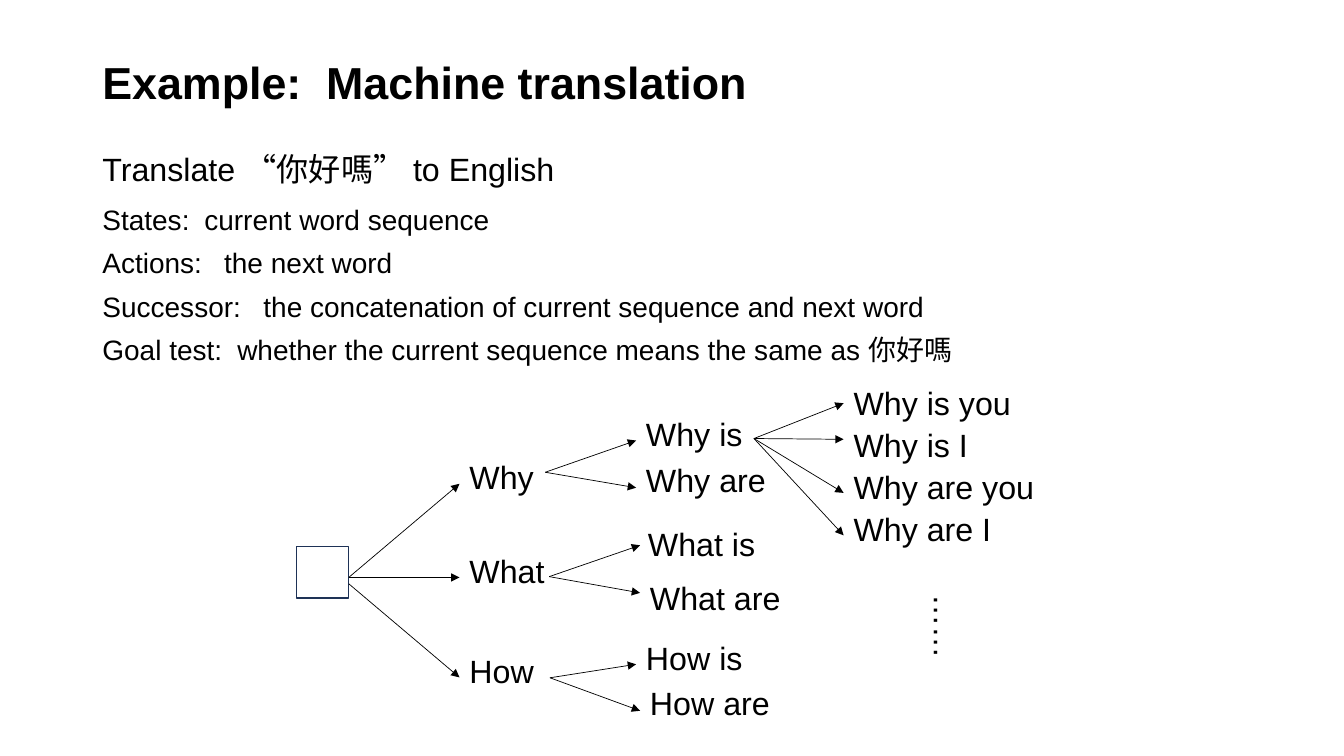
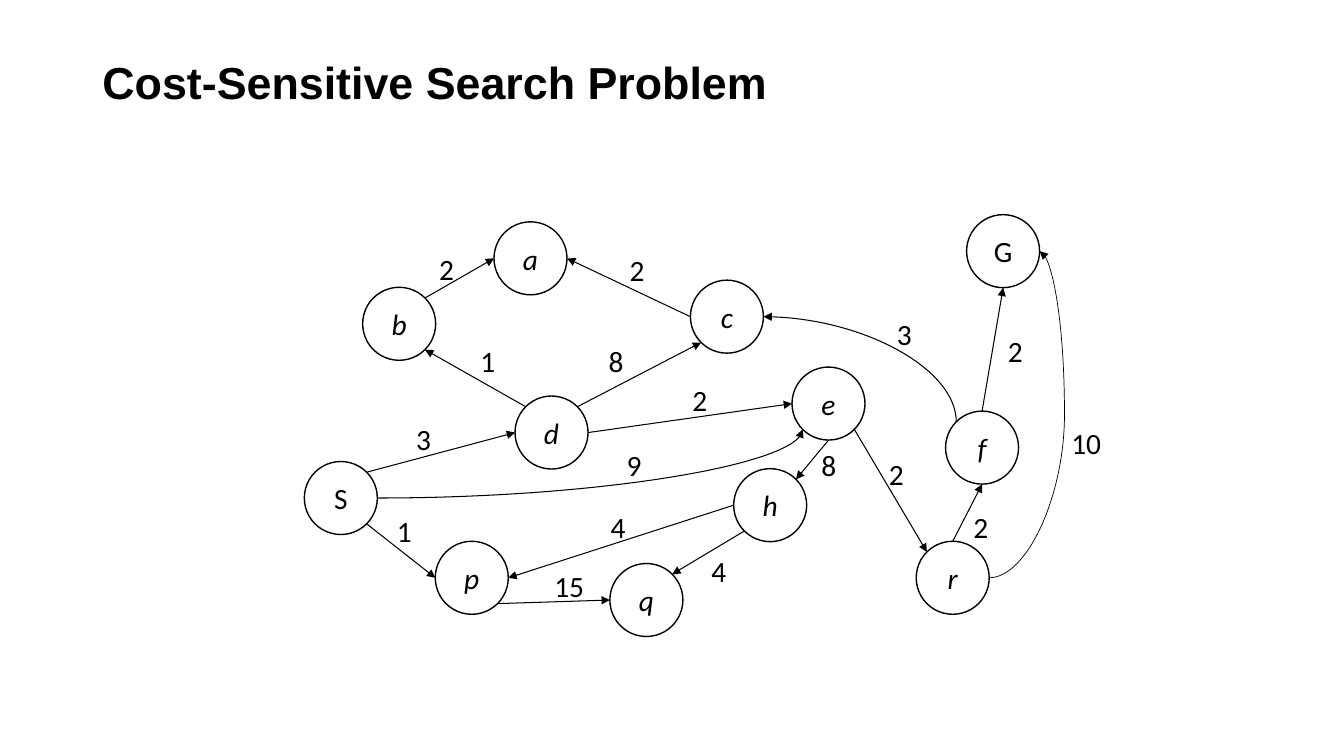
"""Builds two slides on search problems: a translation tree and a weighted graph."""
from math import cos, radians, sin

from pptx import Presentation
from pptx.dml.color import RGBColor
from pptx.enum.shapes import MSO_CONNECTOR, MSO_SHAPE
from pptx.enum.text import MSO_ANCHOR, PP_ALIGN
from pptx.oxml.ns import qn
from pptx.util import Cm, Pt
from lxml import etree

STRAIGHT, CURVE = MSO_CONNECTOR.STRAIGHT, MSO_CONNECTOR.CURVE
SQUARE, CIRCLE = MSO_SHAPE.RECTANGLE, MSO_SHAPE.FLOWCHART_CONNECTOR
MIDDLE, CENTER = MSO_ANCHOR.MIDDLE, PP_ALIGN.CENTER

COLORS = {"text": "000000", "line": "000000", "root": "1E3256"}
SANS, GRAPH_FONT = "Arial", "Calibri"

TREE_TITLE, TREE_TITLE_TAB = "Example:\tMachine translation", 5.64
TASK = "Translate “你好嗎” to English"
DEFINITIONS = [
    ("States:\tcurrent word sequence", 2.57),
    ("Actions:\tthe next word", 3.07),
    ("Successor:\tthe concatenation of current sequence and next word", 4.06),
    ("Goal test:\twhether the current sequence means the same as 你好嗎", 3.4),
]
ROOT = (7.47, 13.77, 1.32, 1.3)
WORDS = [
    ("Why", 11.58, 11.4), ("What", 11.58, 13.77), ("How", 11.58, 16.28),
    ("Why is", 16.03, 10.31), ("Why are", 16.03, 11.48),
    ("What is", 16.08, 13.08), ("What are", 16.13, 14.45),
    ("How is", 16.03, 15.95), ("How are", 16.13, 17.09),
]
LEAVES = ["Why is you", "Why is I", "Why are you", "Why are I"]
LEAF_LEFT, LEAF_TOP, LEAF_STEP = 21.26, 9.53, 1.06
WORD_WIDTH, WORD_HEIGHT = 5.41, 1.57
ELLIPSIS = ("……", 20.98, 16.64)
FANS = [
    ((8.79, 14.55), [(11.58, 12.19), (11.58, 14.55)]),
    ((8.79, 14.71), [(11.58, 17.07)]),
    ((13.74, 11.9), [(16.03, 11.1), (16.03, 12.29)]),
    ((13.84, 14.53), [(16.13, 13.74), (16.13, 14.94)]),
    ((13.86, 17.08), [(16.03, 16.74), (16.13, 17.91)]),
    ((19, 11.05), [(21.26, 10.16), (21.26, 11.07), (21.26, 12.42), (21.26, 13.49)]),
]

GRAPH_TITLE = "Cost-Sensitive Search Problem"
NODE_SIZE = 1.84
NODES = {
    "S": (7.67, 11.63), "G": (24.36, 5.41), "d": (12.98, 9.98), "b": (9.14, 7.24),
    "p": (10.97, 13.64), "q": (15.37, 14.2), "c": (17.4, 7.06), "e": (19.96, 9.25),
    "h": (18.49, 11.81), "a": (12.45, 5.59), "f": (23.83, 10.36), "r": (23.09, 13.64),
}
ANGLES = {name: 45 * step for step, name in
          enumerate(["E", "SE", "S", "SW", "W", "NW", "N", "NE"])}
EDGES = [
    ("S", "SE", "p", "W"), ("p", "SE", "q", "W"), ("h", "SW", "q", "NE"),
    ("h", "W", "p", "E"), ("e", "S", "h", "NE"), ("e", "SE", "r", "NW"),
    ("r", "N", "f", "S"), ("f", "N", "G", "S"), ("S", "NE", "d", "W"),
    ("d", "NW", "b", "SE"), ("b", "NE", "a", "W"), ("c", "W", "a", "E"),
    ("d", "NE", "c", "SW"), ("d", "E", "e", "W"),
]
COSTS = [
    ("2", 10.82, 6.2), ("9", 15.54, 11.15), ("2", 22.15, 11.38), ("8", 15.09, 8.51),
    ("1", 11.86, 8.53), ("8", 20.45, 11.15), ("2", 15.62, 6.22), ("3", 10.24, 10.49),
    ("2", 24.28, 12.7), ("4", 17.68, 13.82), ("4", 15.14, 12.7), ("15", 13.72, 14.2),
    ("1", 9.75, 12.8), ("3", 22.35, 7.85), ("2", 25.15, 8.28), ("2", 17.2, 9.5),
    ("10", 26.75, 10.59),
]


def color(name):
    return RGBColor.from_string(COLORS[name])


def write(paragraph, text, size, font=SANS, bold=False, italic=False, tab=None):
    paragraph.text = text
    if tab:
        tabs = etree.SubElement(paragraph._p.get_or_add_pPr(), qn("a:tabLst"))
        etree.SubElement(tabs, qn("a:tab"), pos=str(Cm(tab)), algn="l")
    paragraph.font.name = font
    paragraph.font.size = Pt(size)
    paragraph.font.bold = bold
    paragraph.font.italic = italic
    paragraph.font.color.rgb = color("text")


def add_text(slide, text, left, top, width, height, size, **style):
    box = slide.shapes.add_textbox(Cm(left), Cm(top), Cm(width), Cm(height))
    box.text_frame.word_wrap = True
    write(box.text_frame.paragraphs[0], text, size, **style)
    return box


def add_slide(presentation, title, tab=None):
    slide = presentation.slides.add_slide(presentation.slide_layouts[6])
    box = add_text(slide, title, 2.33, 1.01, 29.21, 2.26, 32, bold=True, tab=tab)
    box.text_frame.vertical_anchor = MIDDLE
    box.text_frame.paragraphs[0].line_spacing = 0.9
    return slide


def add_outline(slide, kind, left, top, width, height, line):
    shape = slide.shapes.add_shape(kind, Cm(left), Cm(top), Cm(width), Cm(height))
    shape.shadow.inherit = False
    shape.fill.background()
    shape.line.color.rgb = color(line)
    shape.line.width = Pt(1)
    return shape


def add_arrow(slide, start, end, width, kind=STRAIGHT, head="a:tailEnd"):
    arrow = slide.shapes.add_connector(kind, *(Cm(value) for value in (*start, *end)))
    arrow.line.color.rgb = color("line")
    arrow.line.width = Pt(width)
    etree.SubElement(arrow.line._get_or_add_ln(), qn(head), type="triangle")
    etree.SubElement(arrow._element.spPr, qn("a:effectLst"))
    return arrow


def shape_curve(arrow, preset, bend=None):
    geometry = arrow._element.spPr.find(qn("a:prstGeom"))
    geometry.set("prst", preset)
    if bend:
        guides = geometry.find(qn("a:avLst"))
        etree.SubElement(guides, qn("a:gd"), name="adj1", fmla=f"val {bend}")


def site(node, side):
    left, top = NODES[node]
    radius, angle = NODE_SIZE / 2, radians(ANGLES[side])
    return left + radius * (1 + cos(angle)), top + radius * (1 + sin(angle))


def build_tree(presentation):
    slide = add_slide(presentation, TREE_TITLE, TREE_TITLE_TAB)
    add_text(slide, TASK, 2.33, 3.63, 14, WORD_HEIGHT, 23)
    (first, first_tab), *others = DEFINITIONS
    box = add_text(slide, first, 2.33, 4.98, 27.2, 4.45, 20, tab=first_tab)
    for text, tab in others:
        paragraph = box.text_frame.add_paragraph()
        paragraph.space_before = Pt(7)
        write(paragraph, text, 20, tab=tab)
    add_outline(slide, SQUARE, *ROOT, "root")
    leaves = [(text, LEAF_LEFT, LEAF_TOP + row * LEAF_STEP)
              for row, text in enumerate(LEAVES)]
    for text, left, top in WORDS + leaves:
        add_text(slide, text, left, top, WORD_WIDTH, WORD_HEIGHT, 23)
    add_text(slide, *ELLIPSIS, WORD_WIDTH, WORD_HEIGHT, 23).rotation = 90
    for start, ends in FANS:
        for end in ends:
            add_arrow(slide, start, end, 0.5)


def build_graph(presentation):
    slide = add_slide(presentation, GRAPH_TITLE)
    for name, (left, top) in NODES.items():
        node = add_outline(slide, CIRCLE, left, top, NODE_SIZE, NODE_SIZE, "line")
        frame = node.text_frame
        frame.word_wrap = False
        frame.vertical_anchor = MIDDLE
        frame.paragraphs[0].alignment = CENTER
        write(frame.paragraphs[0], name, 21, GRAPH_FONT, italic=name.islower())
    for source, source_side, target, target_side in EDGES:
        add_arrow(slide, site(source, source_side), site(target, target_side), 0.75)
    f_to_c = add_arrow(slide, site("c", "E"), site("f", "NW"), 0.75, CURVE, "a:headEnd")
    shape_curve(f_to_c, "curvedConnector2")
    s_to_e = add_arrow(slide, site("S", "E"), site("e", "SW"), 0.75, CURVE)
    shape_curve(s_to_e, "curvedConnector2")
    r_to_g = add_arrow(slide, site("r", "E"), site("G", "E"), 0.5, CURVE)
    shape_curve(r_to_g, "curvedConnector3", 149400)
    for cost, left, top in COSTS:
        add_text(slide, cost, left, top, 1.4, 1.14, 21, font=GRAPH_FONT)


def main():
    presentation = Presentation()
    presentation.slide_width, presentation.slide_height = Cm(33.87), Cm(19.05)
    build_tree(presentation)
    build_graph(presentation)
    presentation.save("out.pptx")


if __name__ == "__main__":
    main()
